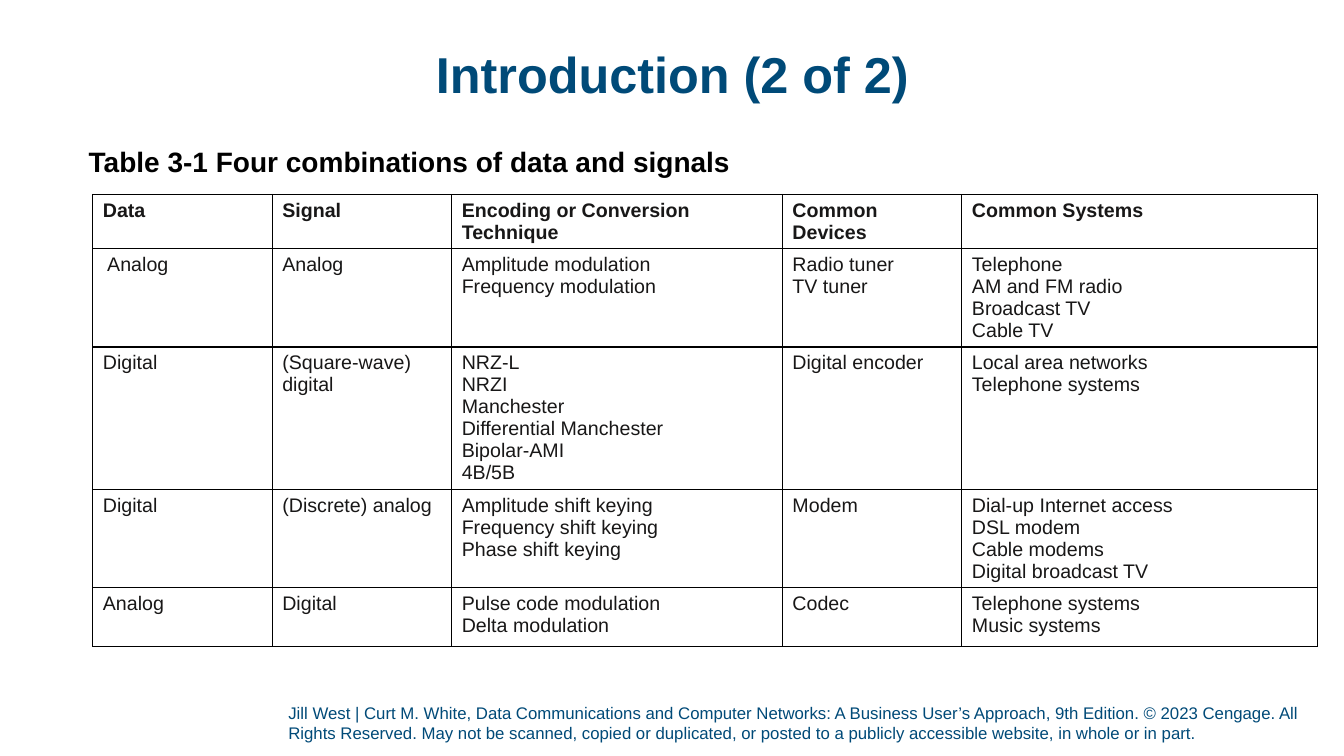
from dataclasses import dataclass

from lxml import etree
from pptx import Presentation
from pptx import util as u
from pptx.dml.color import RGBColor
from pptx.enum import text
from pptx.oxml import ns


@dataclass(frozen=True)
class Theme:
    font: str = "Arial"
    blue: str = "004A78"
    black: str = "000000"
    ink: str = "181717"
    title_size: int = 36
    caption_size: int = 20
    table_size: int = 14
    footer_size: int = 12
    border_width: float = 1


@dataclass(frozen=True)
class Area:
    left: float
    top: float
    width: float
    height: float


@dataclass(frozen=True)
class Label:
    words: str
    area: Area
    size: int
    color: str
    bold: bool = False
    anchor: text.MSO_ANCHOR = text.MSO_ANCHOR.TOP
    align: text.PP_ALIGN = text.PP_ALIGN.LEFT
    bottom_inset: float = 0
    line_spacing: float = 1


THEME = Theme()

TITLE = Label("Introduction (2 of 2)", Area(0.92, 0.4, 11.5, 0.74),
              THEME.title_size, THEME.blue, bold=True,
              anchor=text.MSO_ANCHOR.MIDDLE, align=text.PP_ALIGN.CENTER,
              line_spacing=0.9)
CAPTION = Label("Table 3-1 Four combinations of data and signals",
                Area(0.88, 1.43, 6.6, 0.5),
                THEME.caption_size, THEME.black, bold=True)
FOOTER = Label(
    "Jill West | Curt M. White, Data Communications and Computer Networks: "
    "A Business User’s Approach, 9th Edition. © 2023 Cengage. All Rights "
    "Reserved. May not be scanned, copied or duplicated, or posted to a "
    "publicly accessible website, in whole or in part.",
    Area(2.86, 6.97, 10.34, 0.45), THEME.footer_size, THEME.blue,
    anchor=text.MSO_ANCHOR.BOTTOM, bottom_inset=0.05)

TABLE_AREA = Area(0.92, 1.93, 12.15, 3.82)
COLUMN_WIDTHS = [1.78, 1.78, 3.28, 1.78, 3.53]
ROW_HEIGHTS = [0.42, 0.76, 1.11, 0.94, 0.59]

# Each line of a cell is its own paragraph
SIGNAL_ROWS = [
    ["Data", "Signal", "Encoding or Conversion Technique",
     "Common Devices", "Common Systems"],
    [" Analog", "Analog", "Amplitude modulation\nFrequency modulation",
     "Radio tuner\nTV tuner",
     "Telephone\nAM and FM radio\nBroadcast TV\nCable TV"],
    ["Digital", "(Square-wave) digital",
     "NRZ-L\nNRZI\nManchester\nDifferential Manchester\nBipolar-AMI\n4B/5B",
     "Digital encoder", "Local area networks\nTelephone systems"],
    ["Digital", "(Discrete) analog",
     "Amplitude shift keying\nFrequency shift keying\nPhase shift keying",
     "Modem",
     "Dial-up Internet access\nDSL modem\nCable modems\nDigital broadcast TV"],
    ["Analog", "Digital", "Pulse code modulation\nDelta modulation",
     "Codec", "Telephone systems\nMusic systems"],
]


def apply_format(target, values: dict) -> None:
    for name, value in values.items():
        setattr(target, name, value)


def format_font(font, size: int, color: str, bold: bool) -> None:
    apply_format(font, {"name": THEME.font, "size": u.Pt(size), "bold": bold})
    font.color.rgb = RGBColor.from_string(color)


def fill_label(shape, label: Label) -> None:
    area = label.area
    apply_format(shape, {"left": u.Inches(area.left), "top": u.Inches(area.top),
                         "width": u.Inches(area.width),
                         "height": u.Inches(area.height)})
    frame = shape.text_frame
    apply_format(frame, {"word_wrap": True, "auto_size": text.MSO_AUTO_SIZE.NONE,
                         "vertical_anchor": label.anchor,
                         "margin_left": 0, "margin_right": 0, "margin_top": 0,
                         "margin_bottom": u.Inches(label.bottom_inset)})
    para = frame.paragraphs[0]
    apply_format(para, {"alignment": label.align,
                        "line_spacing": label.line_spacing})
    span = para.add_run()
    span.text = label.words
    format_font(span.font, label.size, label.color, label.bold)


def add_label(page, label: Label) -> None:
    fill_label(page.shapes.add_textbox(0, 0, 0, 0), label)


def add_borders(cell) -> None:
    properties = cell._tc.get_or_add_tcPr()
    for index, side in enumerate(("lnL", "lnR", "lnT", "lnB")):
        line = etree.Element(ns.qn(f"a:{side}"),
                             w=str(int(u.Pt(THEME.border_width))))
        fill = etree.SubElement(line, ns.qn("a:solidFill"))
        etree.SubElement(fill, ns.qn("a:srgbClr"), val=THEME.black)
        properties.insert(index, line)


def add_signal_table(page) -> None:
    area = TABLE_AREA
    table = page.shapes.add_table(
        len(ROW_HEIGHTS), len(COLUMN_WIDTHS), u.Inches(area.left),
        u.Inches(area.top), u.Inches(area.width), u.Inches(area.height)).table
    apply_format(table, {"first_row": False, "horz_banding": False})
    for column, width in zip(table.columns, COLUMN_WIDTHS):
        column.width = u.Inches(width)
    for row_index, words_row in enumerate(SIGNAL_ROWS):
        row = table.rows[row_index]
        row.height = u.Inches(ROW_HEIGHTS[row_index])
        for cell, words in zip(row.cells, words_row):
            cell.fill.background()
            add_borders(cell)
            cell.text_frame.text = words
            for para in cell.text_frame.paragraphs:
                for span in para.runs:
                    format_font(span.font, THEME.table_size, THEME.ink,
                                bold=row_index == 0)


def main() -> None:
    deck = Presentation()
    apply_format(deck, {"slide_width": u.Inches(13.33),
                        "slide_height": u.Inches(7.5)})
    page = deck.slides.add_slide(deck.slide_layouts.get_by_name("Title Only"))

    # Heading and caption
    fill_label(page.shapes.title, TITLE)
    add_label(page, CAPTION)

    # Combinations of data and signals
    add_signal_table(page)

    # Copyright line
    add_label(page, FOOTER)
    deck.save("out.pptx")


if __name__ == "__main__":
    main()
